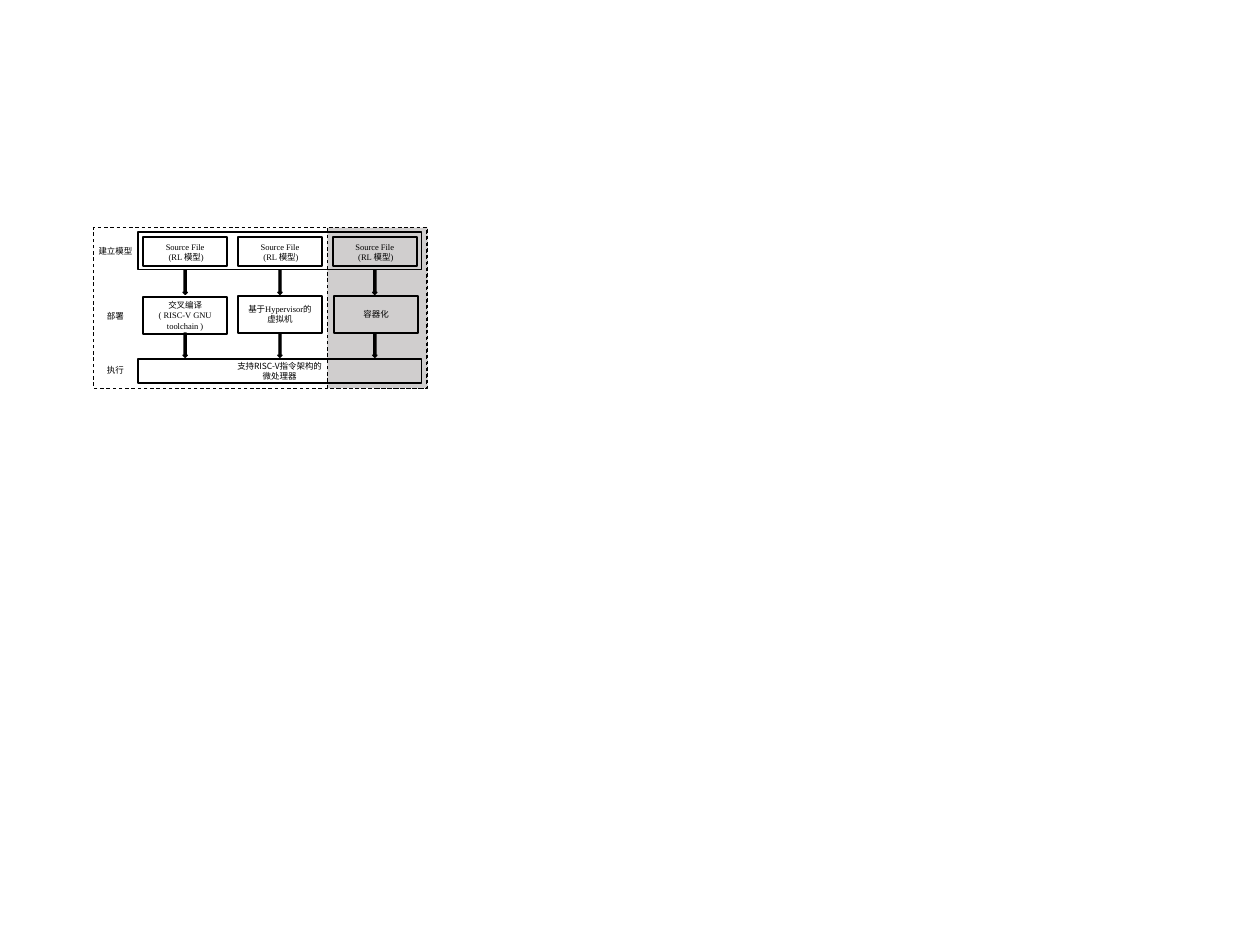
from pptx import Presentation
from pptx import util as u
from pptx.dml.color import RGBColor
from pptx.enum import dml, shapes, text
from pptx.oxml.ns import qn
from lxml import etree

COLORS = {"ink": "000000", "shade": "D0CECE"}
SANS, SERIF = "Noto Sans CJK SC", "Times New Roman"
DASHED = {"width": u.Pt(0.75), "dash_style": dml.MSO_LINE.DASH}
SOLID = {"width": u.Pt(1.5)}
THIN = {"width": u.Pt(1)}


def apply(target, formats):
    for name, value in formats.items():
        setattr(target, name, value)


class Diagram:
    def __init__(self, slide, size=7):
        self.slide = slide
        self.size = u.Pt(size)

    def fill_text(self, frame, paragraphs, font, formats):
        apply(frame, {"word_wrap": True, **formats})
        for index, words in enumerate(paragraphs):
            line = frame.paragraphs[0] if index == 0 else frame.add_paragraph()
            line.alignment = text.PP_ALIGN.CENTER
            run = line.add_run()
            run.text = words
            apply(run.font, {"size": self.size, "name": font})
            run.font.color.rgb = RGBColor.from_string(COLORS["ink"])
            east_asian = etree.SubElement(run.font._element, qn("a:ea"))
            east_asian.set("typeface", SANS)

    def shape(self, kind, place, line, fill=None):
        item = self.slide.shapes.add_shape(kind, *map(u.Cm, place))
        item.shadow.inherit = False
        if fill:
            item.fill.solid()
            item.fill.fore_color.rgb = RGBColor.from_string(COLORS[fill])
        else:
            item.fill.background()
        item.line.color.rgb = RGBColor.from_string(COLORS["ink"])
        apply(item.line, line)
        return item

    def box(self, place, paragraphs=(), font=SERIF, line=SOLID, fill=None):
        item = self.shape(shapes.MSO_SHAPE.RECTANGLE, place, line, fill)
        self.fill_text(item.text_frame, paragraphs, font,
                       {"vertical_anchor": text.MSO_ANCHOR.MIDDLE})

    def label(self, words, center, top, width):
        place = (center - width / 2, top, width, 0.56)
        item = self.slide.shapes.add_textbox(*map(u.Cm, place))
        self.fill_text(item.text_frame, [words], SANS,
                       {"auto_size": text.MSO_AUTO_SIZE.SHAPE_TO_FIT_TEXT})

    def down_arrow(self, center, middle, length=0.71, thickness=0.13):
        place = (center - length / 2, middle - thickness / 2, length, thickness)
        item = self.shape(shapes.MSO_SHAPE.RIGHT_ARROW, place, THIN, "ink")
        item.rotation = 90


def main():
    deck = Presentation()
    apply(deck, {"slide_width": u.Cm(36.68), "slide_height": u.Cm(27.51)})
    diagram = Diagram(deck.slides.add_slide(deck.slide_layouts[6]))

    diagram.box((9.53, 6.63, 2.92, 4.67), line=DASHED, fill="shade")
    diagram.box((2.72, 6.63, 9.7, 4.67), line=DASHED)
    diagram.box((4.01, 6.76, 8.26, 1.09))
    diagram.box((4.01, 10.44, 8.26, 0.71),
                ["支持RISC-V指令架构的", "微处理器"], font=SANS)

    for stage, top, width in (("建立模型", 7.04, 1.8), ("部署", 8.92, 3.18),
                              ("执行", 10.49, 1.52)):
        diagram.label(stage, 3.36, top, width)

    first_left, pitch, box_width = 4.17, 2.76, 2.44
    deployments = (
        (["交叉编译", "( RISC-V GNU toolchain )"], 0, 8.64),
        (["基于Hypervisor的虚拟机"], 0, 8.61),
        (["容器化"], 0.04, 8.61),
    )
    for column, (method, shift, top) in enumerate(deployments):
        left = first_left + column * pitch
        diagram.box((left, 6.91, box_width, 0.84), ["Source File", " (RL 模型)"])
        diagram.box((left + shift, top, box_width, 1.09), method)
        for middle in (8.22, 10.05):
            diagram.down_arrow(left + box_width / 2, middle)

    deck.save("out.pptx")


if __name__ == "__main__":
    main()
